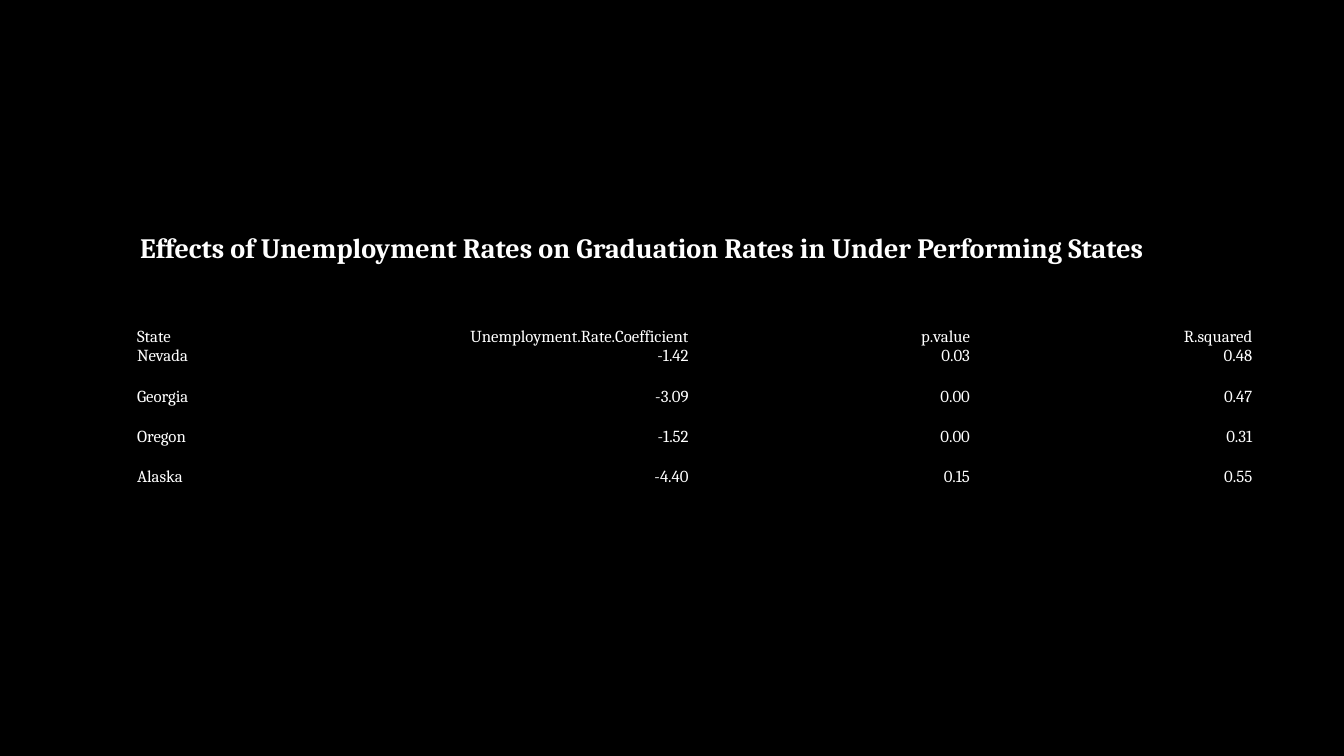
from dataclasses import dataclass

from pptx import Presentation
from pptx.dml.color import RGBColor
from pptx.enum.text import MSO_ANCHOR, MSO_AUTO_SIZE, PP_ALIGN
from pptx.oxml.ns import qn
from pptx.util import Inches, Pt

LEFT, RIGHT = PP_ALIGN.LEFT, PP_ALIGN.RIGHT
TOP, MIDDLE, BOTTOM = MSO_ANCHOR.TOP, MSO_ANCHOR.MIDDLE, MSO_ANCHOR.BOTTOM
TITLE_ONLY = 5
NO_STYLE_NO_GRID = "{2D5ABB26-0587-4C30-8999-92F81FD0307C}"

# Content
HEADING = "Effects of Unemployment Rates on Graduation Rates in Under Performing States"
STATE_RESULTS = [
    ("State", "Unemployment.Rate.Coefficient", "p.value", "R.squared"),
    ("Nevada", "-1.42", "0.03", "0.48"),
    ("Georgia", "-3.09", "0.00", "0.47"),
    ("Oregon", "-1.52", "0.00", "0.31"),
    ("Alaska", "-4.40", "0.15", "0.55"),
]
COLUMN_WIDTHS = (2.8, 2.81, 2.79, 2.8)
ROW_HEIGHT = 0.4
LEFT_EDGE = 1.29


@dataclass(frozen=True)
class Theme:
    font: str = "Cambria"
    ink: RGBColor = RGBColor(0xFF, 0xFF, 0xFF)
    background: RGBColor = RGBColor(0, 0, 0)
    heading_size: Pt = Pt(20)
    cell_size: Pt = Pt(12)
    cell_spacing: Pt = Pt(1.8)


THEME = Theme()


def format_paragraph(paragraph, size, align, bold=False):
    paragraph.alignment = align
    font = paragraph.font
    font.name, font.size, font.bold = THEME.font, size, bold
    font.color.rgb = THEME.ink


def add_heading(slide):
    heading = slide.shapes.title
    heading.left, heading.top = Inches(LEFT_EDGE), Inches(1.81)
    heading.width, heading.height = Inches(11.5), Inches(2.13)
    frame = heading.text_frame
    frame.text = HEADING
    frame.word_wrap = True
    frame.auto_size = MSO_AUTO_SIZE.NONE
    frame.vertical_anchor = MIDDLE
    frame.margin_bottom = Inches(0.9)  # lifts the heading clear of the table
    format_paragraph(frame.paragraphs[0], THEME.heading_size, LEFT, bold=True)


def add_results(slide):
    table = slide.shapes.add_table(
        len(STATE_RESULTS), len(COLUMN_WIDTHS), Inches(LEFT_EDGE), Inches(3.04),
        Inches(sum(COLUMN_WIDTHS)), Inches(ROW_HEIGHT * len(STATE_RESULTS))).table
    table.horz_banding = False
    table._tbl.tblPr.find(qn("a:tableStyleId")).text = NO_STYLE_NO_GRID
    for column, width in zip(table.columns, COLUMN_WIDTHS):
        column.width = Inches(width)

    for row, values in enumerate(STATE_RESULTS):
        for col, value in enumerate(values):
            cell = table.cell(row, col)
            cell.text = value
            cell.fill.background()
            cell.vertical_anchor = BOTTOM if row == 0 else TOP
            cell.margin_left = cell.margin_right = Inches(0.07)
            cell.margin_top = cell.margin_bottom = 0
            paragraph = cell.text_frame.paragraphs[0]
            paragraph.space_before = paragraph.space_after = THEME.cell_spacing
            format_paragraph(paragraph, THEME.cell_size, LEFT if col == 0 else RIGHT)


def main():
    deck = Presentation()
    deck.slide_width, deck.slide_height = Inches(13.33), Inches(7.5)
    slide = deck.slides.add_slide(deck.slide_layouts[TITLE_ONLY])
    backdrop = slide.background.fill
    backdrop.solid()
    backdrop.fore_color.rgb = THEME.background
    add_heading(slide)
    add_results(slide)
    deck.save("out.pptx")


if __name__ == "__main__":
    main()
